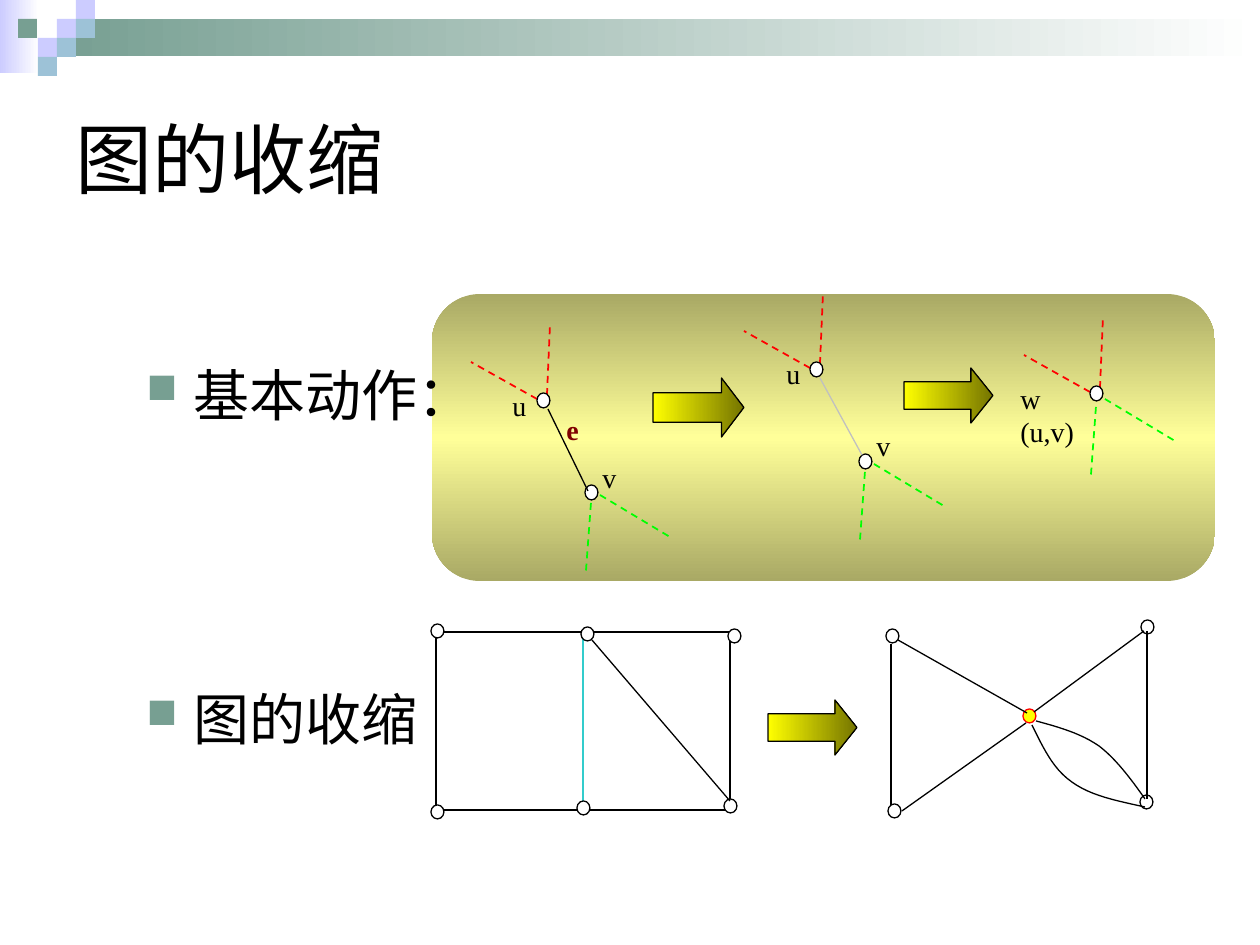
from lxml import etree
from pptx import Presentation
from pptx.dml.color import RGBColor
from pptx.enum.dml import MSO_LINE
from pptx.enum.shapes import MSO_CONNECTOR, MSO_SHAPE
from pptx.enum.text import MSO_ANCHOR, PP_ALIGN
from pptx.oxml.ns import qn
from pptx.util import Pt

PX = 7257  # EMU per pixel, 126 pixels to the inch
RECTANGLE = MSO_SHAPE.RECTANGLE
ROUNDED = MSO_SHAPE.ROUNDED_RECTANGLE
OVAL = MSO_SHAPE.OVAL
ARROW = MSO_SHAPE.RIGHT_ARROW
STRAIGHT = MSO_CONNECTOR.STRAIGHT
DASH = MSO_LINE.DASH
MIDDLE = MSO_ANCHOR.MIDDLE
JUSTIFY = PP_ALIGN.JUSTIFY

BLACK = RGBColor(0x00, 0x00, 0x00)
WHITE = RGBColor(0xFF, 0xFF, 0xFF)
RED = RGBColor(0xFF, 0x00, 0x00)
GREEN = RGBColor(0x00, 0xFF, 0x00)
YELLOW = RGBColor(0xFF, 0xFF, 0x00)
OLIVE = RGBColor(0x75, 0x75, 0x00)
KHAKI = RGBColor(0xA9, 0xA9, 0x65)
CREAM = RGBColor(0xFF, 0xFF, 0x99)
SILVER = RGBColor(0xC0, 0xC0, 0xC0)
MAROON = RGBColor(0x80, 0x00, 0x00)
TEAL = RGBColor(0x33, 0xCC, 0xCC)
SAGE = RGBColor(0x77, 0x9F, 0x92)
LAVENDER = RGBColor(0xCC, 0xCC, 0xFF)
SKY = RGBColor(0x9D, 0xC2, 0xD7)

presentation = Presentation()
presentation.slide_width = 1260 * PX
presentation.slide_height = 945 * PX
slide = presentation.slides.add_slide(presentation.slide_layouts[6])
shapes = slide.shapes


def add_filled(kind, box, colours, outline=None, angle=0):
    """Add a preset shape; several colours make an evenly spaced gradient."""
    shape = shapes.add_shape(kind, *[value * PX for value in box])
    shape.shadow.inherit = False
    if len(colours) == 1:
        shape.fill.solid()
        shape.fill.fore_color.rgb = colours[0]
    else:
        shape.fill.gradient()
        shape.fill.gradient_angle = angle
        stops = shape._element.spPr.find(".//" + qn("a:gsLst"))
        for stop in list(stops):
            stops.remove(stop)
        for index, colour in enumerate(colours):
            position = str(index * 100000 // (len(colours) - 1))
            stop = etree.SubElement(stops, qn("a:gs"), pos=position)
            etree.SubElement(stop, qn("a:srgbClr"), val=str(colour))
    if outline is None:
        shape.line.fill.background()
    else:
        shape.line.color.rgb = outline
        shape.line.width = Pt(0.75)
    return shape


def add_line(start, end, colour=BLACK, width=0.75, dash=None):
    line = shapes.add_connector(STRAIGHT, *[value * PX for value in (*start, *end)])
    line.line.color.rgb = colour
    line.line.width = Pt(width)
    line.line.dash_style = dash
    etree.SubElement(line._element.spPr, qn("a:effectLst"))
    return line


# Header decoration
add_filled(RECTANGLE, (0, 0, 39, 73), (LAVENDER, WHITE))
add_filled(RECTANGLE, (57, 19, 1203, 37), (SAGE, WHITE))
header_squares = [
    (57, 19, LAVENDER), (76, 0, LAVENDER), (76, 19, SKY), (38, 38, LAVENDER),
    (18, 19, SAGE), (57, 38, SKY), (38, 57, SKY),
]
for left, top, colour in header_squares:
    add_filled(RECTANGLE, (left, top, 19, 19), (colour,))

panel = add_filled(ROUNDED, (432, 294, 783, 287), (KHAKI, CREAM, KHAKI), angle=90)
panel.adjustments[0] = 0.167

# Title and bullets
title = shapes.add_textbox(63 * PX, 63 * PX, 1134 * PX, 189 * PX)
title.text_frame.word_wrap = True
title.text_frame.vertical_anchor = MIDDLE
run = title.text_frame.paragraphs[0].add_run()
run.text = "图的收缩"
run.font.size = Pt(44)
run.font.name = "Arial"
run.font.color.rgb = BLACK

body = shapes.add_textbox(134 * PX, 354 * PX, 1060 * PX, 513 * PX)
body.text_frame.word_wrap = True
bullets = [("基本动作：", 8), ("图的收缩", 147)]
for index, (text, space_before) in enumerate(bullets):
    paragraph = body.text_frame.paragraphs[0] if index == 0 else body.text_frame.add_paragraph()
    paragraph.space_before = Pt(space_before)
    properties = paragraph._p.get_or_add_pPr()
    properties.set("marL", str(47 * PX))
    properties.set("indent", str(-47 * PX))
    bullet_colour = etree.SubElement(properties, qn("a:buClr"))
    etree.SubElement(bullet_colour, qn("a:srgbClr"), val=str(SAGE))
    etree.SubElement(properties, qn("a:buSzPct"), val="75000")
    etree.SubElement(properties, qn("a:buChar"), char="■")
    run = paragraph.add_run()
    run.text = text
    run.font.size = Pt(32)
    run.font.name = "Times New Roman"
    run.font.color.rgb = BLACK

# Contraction of one edge: red edges leave u, green edges leave v
RED_EDGES = [((10, 2), (13, -68)), ((0, 6), (-66, -31))]
GREEN_EDGES = [((6, 18), (1, 86)), ((15, 10), (85, 52))]
stars = [
    (537, 393, RED, RED_EDGES), (585, 485, GREEN, GREEN_EDGES),
    (810, 362, RED, RED_EDGES), (859, 454, GREEN, GREEN_EDGES),
    (1090, 386, RED, RED_EDGES), (1090, 389, GREEN, GREEN_EDGES),
]
for x, y, colour, edges in stars:
    for (x1, y1), (x2, y2) in edges:
        add_line((x + x1, y + y1), (x + x2, y + y2), colour, 1, DASH)
for x, y in [(537, 393), (585, 485), (810, 362), (859, 454), (1090, 386)]:
    add_filled(OVAL, (x, y, 13, 15), (WHITE,), BLACK)
add_line((548, 409), (588, 491))
add_line((820, 378), (862, 455), SILVER)

labels = [
    (500, 382, 71, 72, ["u"], BLACK), (590, 454, 71, 72, ["v"], BLACK),
    (554, 406, 71, 72, ["e"], MAROON), (774, 350, 71, 72, ["u"], BLACK),
    (864, 422, 71, 72, ["v"], BLACK), (1008, 378, 92, 140, ["w", "(u,v)"], BLACK),
]
for left, top, width, height, lines, colour in labels:
    label = shapes.add_textbox(left * PX, top * PX, width * PX, height * PX)
    label.text_frame.word_wrap = True
    for index, text in enumerate(lines):
        paragraph = label.text_frame.paragraphs[0] if index == 0 else label.text_frame.add_paragraph()
        paragraph.alignment = JUSTIFY
        if len(lines) > 1:
            paragraph.line_spacing = 0.96
        run = paragraph.add_run()
        run.text = text
        run.font.size = Pt(16)
        run.font.name = "Times New Roman"
        run.font.bold = colour == MAROON
        run.font.color.rgb = colour

arrows = [(653, 378, 91, 59, 0.38), (904, 368, 89, 55, 0.4), (768, 700, 89, 55, 0.4)]
for left, top, width, height, head in arrows:
    arrow = add_filled(ARROW, (left, top, width, height), (YELLOW, OLIVE), BLACK)
    arrow.adjustments[0] = 0.5
    arrow.adjustments[1] = head

# Contraction of a whole graph
square = add_filled(RECTANGLE, (436, 632, 294, 178), (WHITE,), BLACK)
contracted_edge = add_line((583, 632), (583, 810), TEAL, 1.25)
contracted_edge.begin_connect(square, 0)
contracted_edge.end_connect(square, 2)
graph_nodes = [
    (431, 624), (431, 805), (581, 627), (577, 801), (728, 629), (724, 799),
    (886, 629), (888, 804), (1141, 620), (1140, 795),
]
for x, y in graph_nodes:
    add_filled(OVAL, (x, y, 13, 14), (WHITE,), BLACK)
add_filled(OVAL, (1023, 709, 13, 14), (YELLOW,), RED)
graph_edges = [
    ((592, 640), (730, 801)), ((891, 644), (891, 805)), ((898, 640), (1027, 713)),
    ((902, 811), (1026, 723)), ((1034, 712), (1144, 631)), ((1147, 631), (1147, 799)),
]
for start, end in graph_edges:
    add_line(start, end)

# Parallel edges: two cubic curves each, as seven control points
STEPS = 12
parallel_edges = [
    [(1036, 721), (1058, 727), (1080, 733), (1099, 746), (1116, 759), (1131, 779), (1145, 799)],
    [(1032, 725), (1043, 747), (1053, 769), (1072, 782), (1091, 796), (1118, 801), (1145, 807)],
]
for controls in parallel_edges:
    points = []
    for first in (0, 3):
        for step in range(1, STEPS + 1):
            t = step / STEPS
            weights = ((1 - t) ** 3, 3 * t * (1 - t) ** 2, 3 * t ** 2 * (1 - t), t ** 3)
            segment = controls[first:first + 4]
            points.append([sum(w * p[axis] for w, p in zip(weights, segment)) * PX for axis in (0, 1)])
    builder = shapes.build_freeform(controls[0][0] * PX, controls[0][1] * PX)
    builder.add_line_segments(points, close=False)
    curve = builder.convert_to_shape()
    curve.shadow.inherit = False
    curve.fill.background()
    curve.line.color.rgb = BLACK
    curve.line.width = Pt(0.75)

presentation.save("out.pptx")
